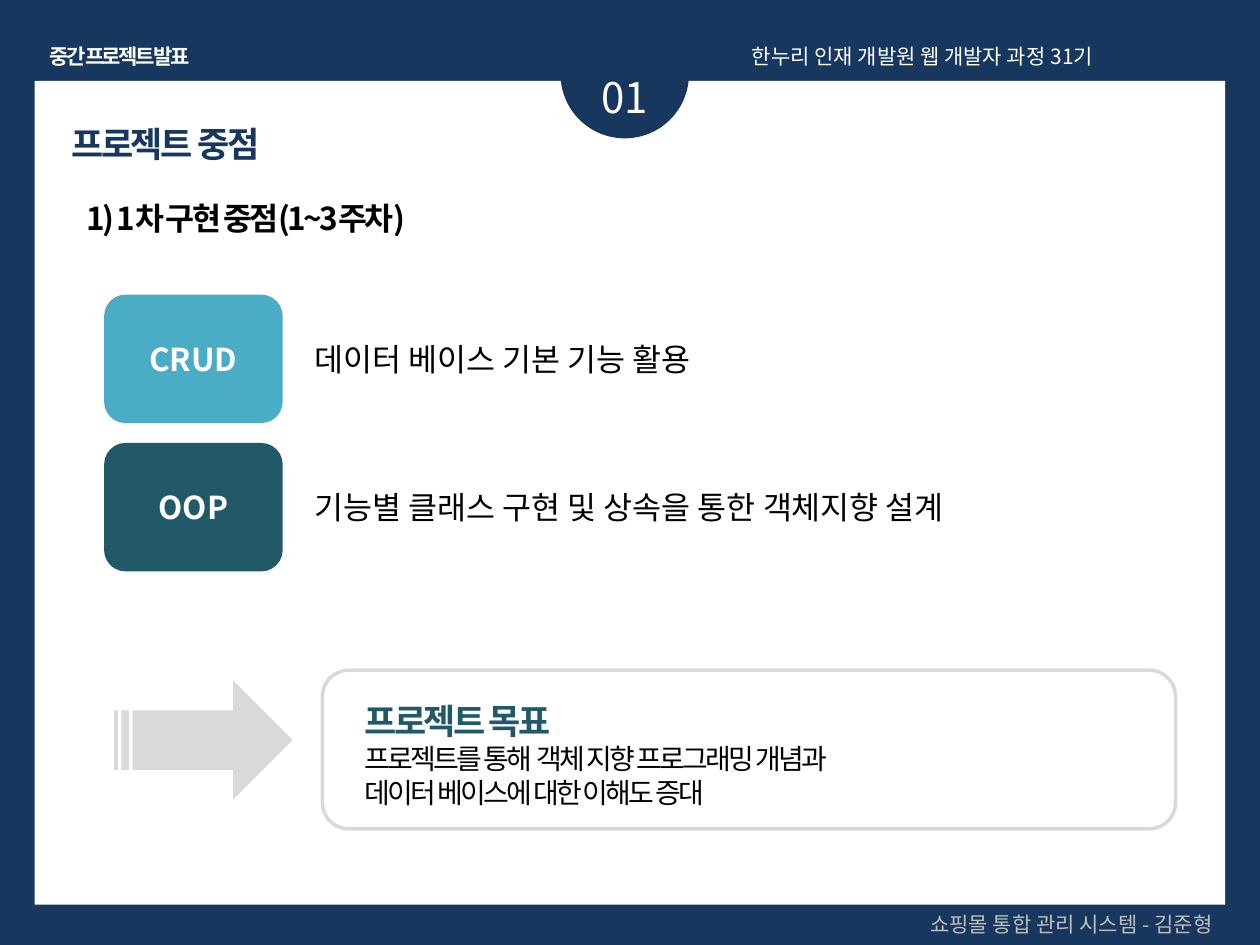
from dataclasses import dataclass

from lxml.etree import SubElement
from pptx import Presentation
from pptx.dml.color import RGBColor
from pptx.enum.shapes import MSO_SHAPE as Preset
from pptx.enum.text import MSO_ANCHOR as Anchor, MSO_AUTO_SIZE as AutoSize, PP_ALIGN as Align
from pptx.oxml.ns import qn
from pptx.util import Cm, Pt

NAVY = RGBColor(0x17, 0x37, 0x5E)
TEAL = RGBColor(0x21, 0x59, 0x68)
SKY = RGBColor(0x4B, 0xAC, 0xC6)
WHITE = RGBColor(0xFF, 0xFF, 0xFF)
BLACK = RGBColor(0, 0, 0)
LIGHT_GRAY = RGBColor(0xD9, 0xD9, 0xD9)
GRAY = RGBColor(0xBF, 0xBF, 0xBF)
NOTO = "Noto Sans CJK KR"
TIGHT = -150  # letter spacing in hundredths of a point


@dataclass(frozen=True)
class Box:
    """Left, top, width and height in centimetres."""
    left: float
    top: float
    width: float
    height: float

    def lengths(self) -> tuple:
        return Cm(self.left), Cm(self.top), Cm(self.width), Cm(self.height)


@dataclass(frozen=True)
class Line:
    text: str
    size: int
    color: RGBColor
    bold: bool = False
    tracking: int = 0
    align: Align = Align.LEFT
    font: str = NOTO
    spacing: float = 1.0


@dataclass(frozen=True)
class Card:
    keyword: str
    fill: RGBColor
    description: str
    description_width: float


def write_line(paragraph, line: Line) -> None:
    paragraph.text = line.text
    paragraph.alignment = line.align
    paragraph.line_spacing = line.spacing
    font = paragraph.font
    font.size, font.bold, font.name = Pt(line.size), line.bold, line.font
    font.color.rgb = line.color
    properties = paragraph._p.pPr.find(qn("a:defRPr"))
    SubElement(properties, qn("a:ea")).set("typeface", line.font)
    if line.tracking:
        properties.set("spc", str(line.tracking))


def add_text(slide, box: Box, *lines: Line, wrap: bool = True) -> None:
    frame = slide.shapes.add_textbox(*box.lengths()).text_frame
    frame.word_wrap = wrap
    frame.auto_size = AutoSize.SHAPE_TO_FIT_TEXT
    for index, line in enumerate(lines):
        write_line(frame.add_paragraph() if index else frame.paragraphs[0], line)


def add_panel(slide, preset: Preset, box: Box, fill: RGBColor | None = None,
              outline: RGBColor | None = None):
    panel = slide.shapes.add_shape(preset, *box.lengths())
    panel.shadow.inherit = False
    if fill is None:
        panel.fill.background()
    else:
        panel.fill.solid()
        panel.fill.fore_color.rgb = fill
    if outline is None:
        panel.line.fill.background()
    else:
        panel.line.color.rgb = outline
        panel.line.width = Pt(2)
    return panel


def add_card(slide, card: Card, top: float) -> None:
    tile = add_panel(slide, Preset.ROUNDED_RECTANGLE, Box(2.1, top, 3.6, 2.59), card.fill)
    tile.text_frame.vertical_anchor = Anchor.MIDDLE
    write_line(tile.text_frame.paragraphs[0],
               Line(card.keyword, 18, WHITE, bold=True, align=Align.CENTER))
    add_text(slide, Box(6.1, top + 0.78, card.description_width, 1.02),
             Line(card.description, 18, BLACK))


CARDS = [
    Card("CRUD", SKY, "데이터 베이스 기본 기능 활용", 11.81),
    Card("OOP", TEAL, "기능별 클래스 구현 및 상속을 통한 객체지향 설계", 16.99),
]
CARDS_TOP, CARD_PITCH = 5.94, 2.99


def main() -> None:
    deck = Presentation()
    deck.slide_width, deck.slide_height = Cm(25.4), Cm(19.05)
    slide = deck.slides.add_slide(deck.slide_layouts[6])
    slide.background.fill.solid()
    slide.background.fill.fore_color.rgb = NAVY

    # Page and section number
    add_panel(slide, Preset.RECTANGLE, Box(0.7, 1.63, 24, 16.61), WHITE)
    add_panel(slide, Preset.OVAL, Box(11.3, 0.2, 2.59, 2.59), NAVY)
    add_text(slide, Box(11.1, 1.32, 3, 1.27), Line("01", 24, WHITE, align=Align.CENTER))

    # Header and footer
    add_text(slide, Box(0.56, 0.76, 3.71, 0.76),
             Line("중간 프로젝트 발표", 12, WHITE, bold=True, tracking=TIGHT, align=Align.CENTER),
             wrap=False)
    add_text(slide, Box(14.91, 0.76, 10, 0.76),
             Line("한누리 인재 개발원 웹 개발자 과정 31기", 12, WHITE, align=Align.JUSTIFY))
    add_text(slide, Box(15.9, 18.26, 8.79, 0.76),
             Line("쇼핑몰 통합 관리 시스템 - 김준형", 12, GRAY, align=Align.RIGHT))

    # Headings
    add_text(slide, Box(1.19, 2.34, 4.8, 1.12),
             Line("프로젝트 중점", 20, NAVY, bold=True, tracking=TIGHT, font="Arial"))
    add_text(slide, Box(1.5, 3.89, 18.8, 1.02),
             Line("1) 1차 구현 중점(1~3주차)", 18, BLACK, bold=True, tracking=TIGHT))

    # Focus cards
    for row, card in enumerate(CARDS):
        add_card(slide, card, CARDS_TOP + row * CARD_PITCH)

    # Project goal
    add_panel(slide, Preset.STRIPED_RIGHT_ARROW, Box(2.3, 13.72, 3.6, 2.4), LIGHT_GRAY)
    add_panel(slide, Preset.ROUNDED_RECTANGLE, Box(6.5, 13.51, 17.2, 3.2), outline=LIGHT_GRAY)
    add_text(slide, Box(7.1, 13.13, 16, 3.33),
             Line("프로젝트 목표", 20, TEAL, bold=True, tracking=TIGHT, spacing=2.0),
             Line("프로젝트를 통해  객체 지향 프로그래밍 개념과", 16, BLACK, tracking=TIGHT),
             Line("데이터 베이스에 대한 이해도 증대", 16, BLACK, tracking=TIGHT))

    deck.save("out.pptx")


if __name__ == "__main__":
    main()
